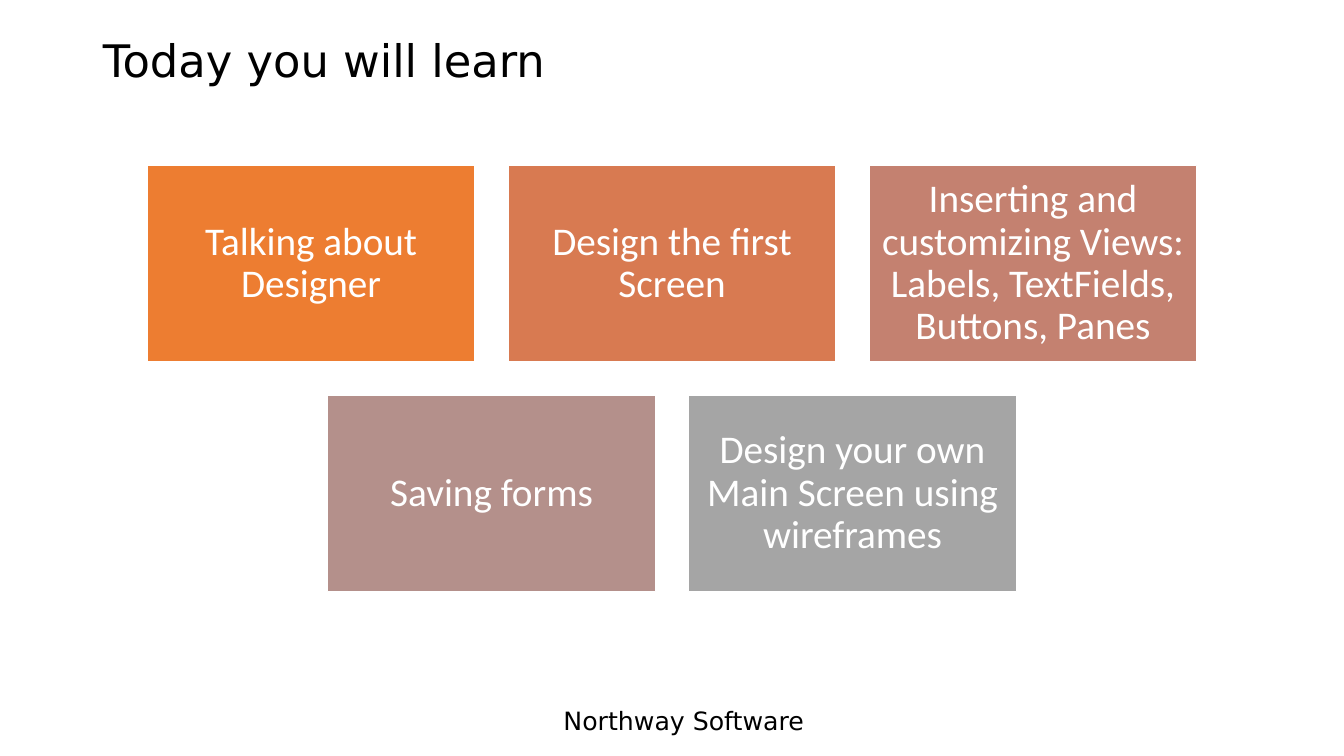
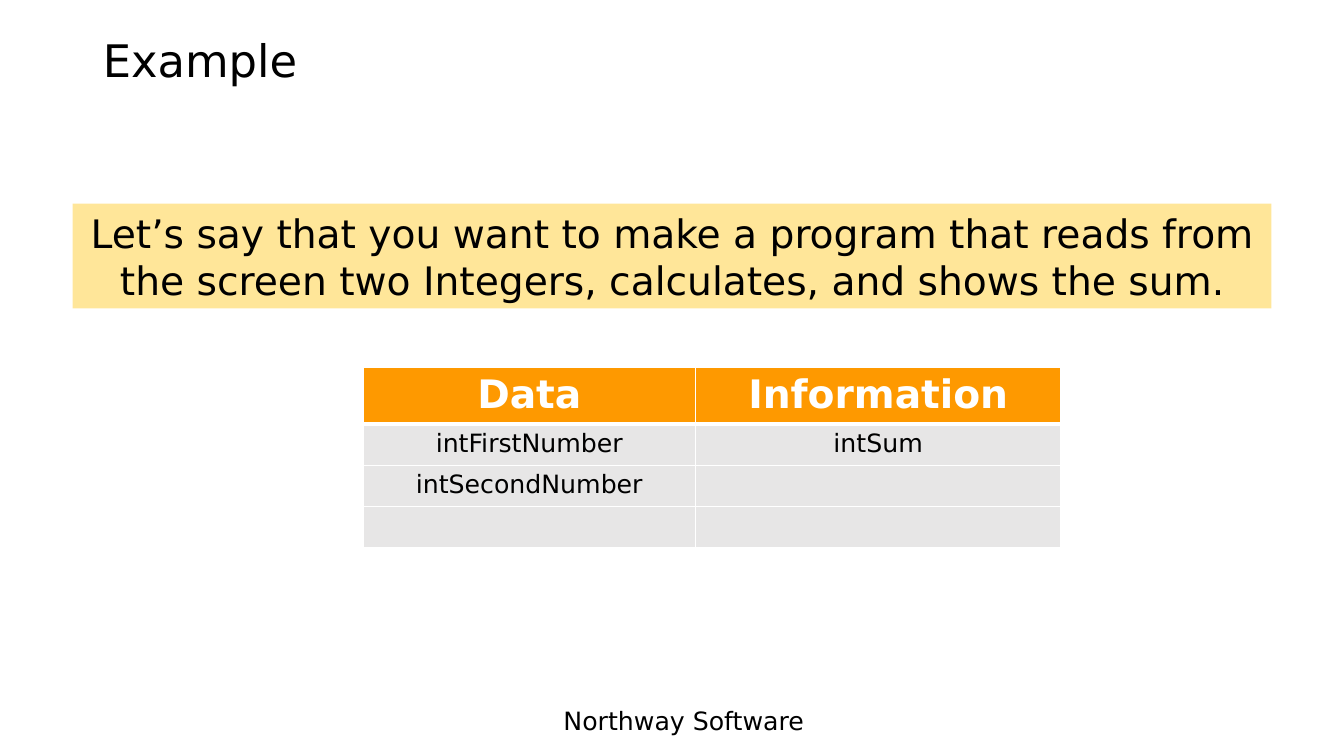
from lxml.etree import SubElement
from pptx import Presentation
from pptx.dml.color import RGBColor
from pptx.enum.shapes import MSO_SHAPE
from pptx.enum.text import MSO_ANCHOR, MSO_AUTO_SIZE, PP_ALIGN
from pptx.oxml.ns import qn
from pptx.util import Pt

EMU_PER_PX = 9144
SLIDE_W, SLIDE_H = 1333, 750
BLACK, WHITE = "000000", "FFFFFF"
ORANGE, GREY, CREAM = "FE9900", "E7E6E6", "FFE699"
FONT, BOX_FONT = "DejaVu Sans", "Calibri"
TITLE_ONLY = 5
BOX_W, BOX_H, BOX_GAP = 325, 195, 33
BOX_TOP, BOX_CENTER = 164, 666

TOPIC_ROWS = [
    [("Talking about Designer", "ED7D31"),
     ("Design the first Screen", "D87A51"),
     ("Inserting and customizing Views: Labels, TextFields, Buttons, Panes", "C48170")],
    [("Saving forms", "B4908B"),
     ("Design your own Main Screen using wireframes", "A5A5A5")],
]
VARIABLES = [
    ["Data", "Information"],
    ["intFirstNumber", "intSum"],
    ["intSecondNumber", ""],
    ["", ""],
]


def px(n):
    """Turn pixels into EMU."""
    return int(n * EMU_PER_PX)


def rgb(color):
    """Turn a hex string into a colour."""
    return RGBColor.from_string(color)


def write(tf, text, size, color=BLACK, font=FONT, align=PP_ALIGN.CENTER, spacing=None, bold=False):
    """Write one formatted run into the first paragraph of a text frame."""
    p = tf.paragraphs[0]
    p.alignment = align
    p.line_spacing = spacing
    r = p.add_run()
    r.text = text
    r.font.name, r.font.size, r.font.bold = font, Pt(size), bold
    r.font.color.rgb = rgb(color)


def add_slide(prs, title):
    """Add a slide with the shared title style and footer."""
    slide = prs.slides.add_slide(prs.slide_layouts[TITLE_ONLY])
    footer = slide.shapes.add_textbox(px(549), px(695), px(290), px(40))
    footer.text_frame.word_wrap = True
    write(footer.text_frame, "Northway Software", 18, align=PP_ALIGN.LEFT)
    sp = slide.shapes.title
    sp.left, sp.top, sp.width, sp.height = px(92), px(15), px(1150), px(95)
    tf = sp.text_frame
    tf.auto_size = MSO_AUTO_SIZE.NONE
    tf.vertical_anchor = MSO_ANCHOR.MIDDLE
    write(tf, title, 32, align=PP_ALIGN.LEFT, spacing=0.9)
    return slide


def add_box(slide, x, y, w, h, fill, line=None):
    """Add a filled rectangle and return its text frame."""
    sp = slide.shapes.add_shape(MSO_SHAPE.RECTANGLE, px(x), px(y), px(w), px(h))
    sp.shadow.inherit = False
    sp.fill.solid()
    sp.fill.fore_color.rgb = rgb(fill)
    if line:
        sp.line.color.rgb = rgb(line)
        sp.line.width = Pt(1)
    else:
        sp.line.fill.background()
    tf = sp.text_frame
    tf.word_wrap = True
    tf.vertical_anchor = MSO_ANCHOR.MIDDLE
    return tf


def add_topics(slide, rows):
    """Lay out topic boxes in centred rows."""
    for i, row in enumerate(rows):
        left = BOX_CENTER - (len(row) * (BOX_W + BOX_GAP) - BOX_GAP) // 2
        y = BOX_TOP + i * (BOX_H + BOX_GAP)
        for j, (text, fill) in enumerate(row):
            tf = add_box(slide, left + j * (BOX_W + BOX_GAP), y, BOX_W, BOX_H, fill, WHITE)
            tf.margin_left = tf.margin_right = tf.margin_top = tf.margin_bottom = px(12)
            write(tf, text, 28, WHITE, BOX_FONT, spacing=0.9)


def set_borders(cell, top, bottom):
    """Give a cell white borders; top and bottom widths are in points."""
    tc_pr = cell._tc.get_or_add_tcPr()
    for side, width in (("L", 1), ("R", 1), ("T", top), ("B", bottom)):
        ln = SubElement(tc_pr, qn(f"a:ln{side}"), w=str(Pt(width)))
        fill = SubElement(ln, qn("a:solidFill"))
        SubElement(fill, qn("a:srgbClr"), val=WHITE)


def add_table(slide, x, y, widths, heights, rows):
    """Add a table with an orange header row and grey body."""
    frame = slide.shapes.add_table(len(rows), len(widths), px(x), px(y),
                                   px(sum(widths)), px(sum(heights)))
    table = frame.table
    table.horz_banding = False
    for col, width in zip(table.columns, widths):
        col.width = px(width)
    for i, (row, height) in enumerate(zip(rows, heights)):
        table.rows[i].height = px(height)
        header = i == 0
        for j, text in enumerate(row):
            cell = table.cell(i, j)
            set_borders(cell, 3 if i == 1 else 1, 3 if header else 1)
            cell.fill.solid()
            cell.fill.fore_color.rgb = rgb(ORANGE if header else GREY)
            if text:
                write(cell.text_frame, text, 28 if header else 18,
                      WHITE if header else BLACK, bold=header)


def main():
    """Build and save the presentation."""
    prs = Presentation()
    prs.slide_width, prs.slide_height = px(SLIDE_W), px(SLIDE_H)

    add_topics(add_slide(prs, "Today you will learn"), TOPIC_ROWS)

    slide = add_slide(prs, "Example")
    tf = add_box(slide, 72, 202, 1189, 104, CREAM)
    write(tf, "Let’s say that you want to make a program that reads from the screen "
              "two Integers, calculates, and shows the sum.", 28)
    add_table(slide, 360, 364, [330, 362], [55, 41, 41, 41], VARIABLES)

    prs.save("out.pptx")


if __name__ == "__main__":
    main()
